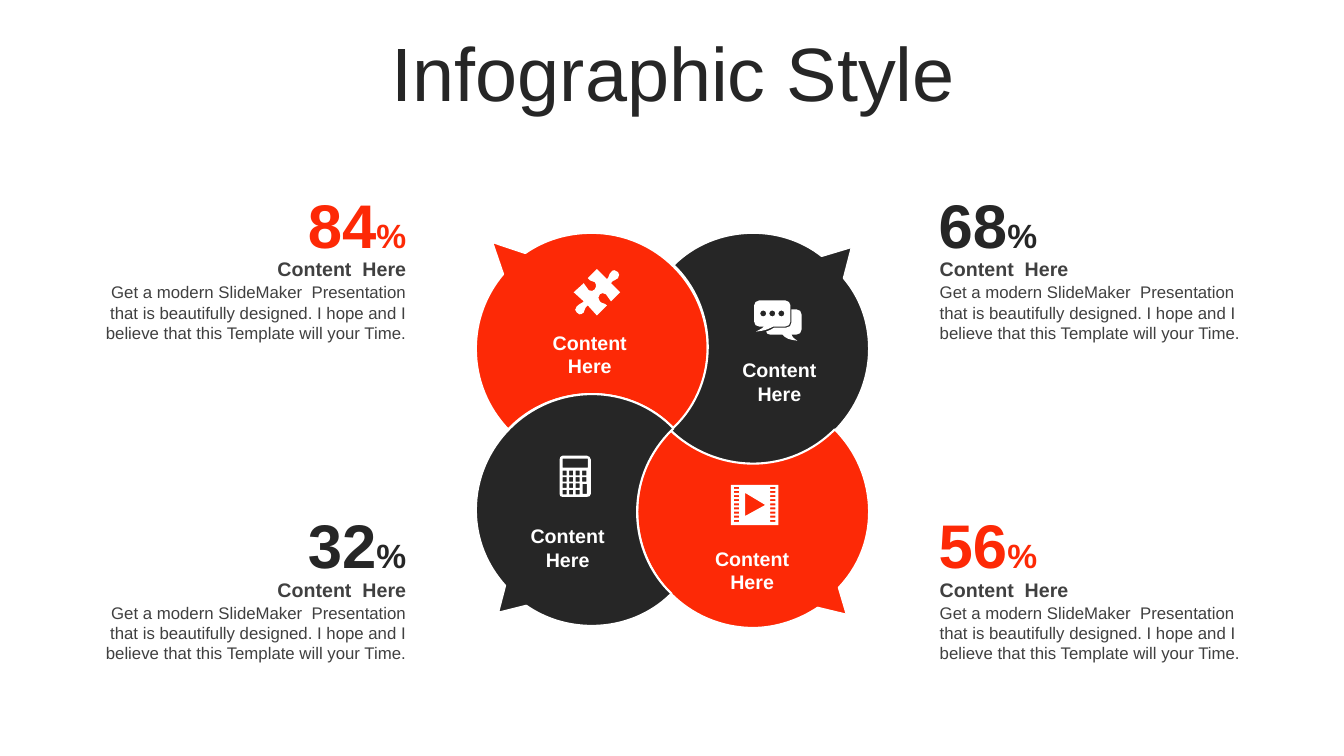
import math

from pptx import Presentation
from pptx.dml.color import RGBColor
from pptx.enum import text
from pptx.oxml.ns import qn
from pptx.util import Inches, Pt

COLORS = {"red": "FD2906", "dark": "262626", "grey": "404040", "white": "FFFFFF"}
FONT = "Arial"

# Outlines in inches: M starts a contour, L is a line, C a cubic curve.
PETALS = [
    ("red", "M 5.87 2.31 C 6.5 2.31 7.02 2.82 7.02 3.46 C 7.02 3.77 6.89 4.05 6.69 4.26 "
            "C 6.48 4.04 6.19 3.91 5.87 3.91 C 5.54 3.91 5.25 4.04 5.04 4.26 "
            "C 4.84 4.05 4.72 3.77 4.72 3.46 C 4.72 3.18 4.82 2.92 4.99 2.72 "
            "L 4.88 2.4 L 5.21 2.51 C 5.4 2.38 5.62 2.31 5.87 2.31"),
    ("dark", "M 7.47 2.31 C 7.72 2.31 7.96 2.39 8.15 2.54 L 8.45 2.45 L 8.37 2.76 "
             "C 8.53 2.95 8.62 3.19 8.62 3.46 C 8.62 4.09 8.1 4.61 7.47 4.61 "
             "C 7.15 4.61 6.86 4.48 6.65 4.27 C 6.88 4.07 7.02 3.77 7.02 3.44 "
             "C 7.02 3.12 6.89 2.83 6.68 2.63 C 6.88 2.43 7.16 2.31 7.47 2.31"),
    ("red", "M 8.28 4.26 C 8.49 4.47 8.62 4.76 8.62 5.08 C 8.62 5.37 8.51 5.63 8.32 5.83 "
            "L 8.4 6.1 L 8.11 6.03 C 7.93 6.15 7.7 6.23 7.47 6.23 "
            "C 6.83 6.23 6.32 5.71 6.32 5.08 C 6.32 4.76 6.44 4.47 6.65 4.27 "
            "C 6.86 4.47 7.15 4.6 7.47 4.6 C 7.79 4.6 8.07 4.47 8.28 4.26"),
    ("dark", "M 5.87 3.91 C 6.19 3.91 6.48 4.04 6.68 4.25 L 6.66 4.27 "
             "C 6.45 4.48 6.32 4.76 6.32 5.08 C 6.32 5.4 6.45 5.69 6.66 5.89 "
             "C 6.46 6.09 6.18 6.21 5.87 6.21 C 5.63 6.21 5.41 6.14 5.22 6.01 "
             "L 4.94 6.08 L 5.01 5.81 C 4.83 5.61 4.72 5.35 4.72 5.06 "
             "C 4.72 4.43 5.24 3.91 5.87 3.91"),
]
PUZZLE = (
    "M 6.13 2.7 C 6.14 2.71 6.15 2.74 6.13 2.76 C 6.11 2.79 6.08 2.77 6.06 2.81 "
    "L 6.15 2.9 L 6.06 2.99 C 6.03 2.97 6.04 2.94 6.01 2.92 C 5.99 2.9 5.96 2.91 5.95 2.92 "
    "C 5.93 2.94 5.93 2.97 5.95 2.99 C 5.98 3.02 5.99 3 6.02 3.03 L 5.92 3.13 L 5.83 3.03 "
    "C 5.79 3.06 5.81 3.07 5.79 3.1 C 5.76 3.13 5.73 3.12 5.72 3.1 C 5.7 3.09 5.7 3.06 5.72 3.04 "
    "C 5.74 3.01 5.76 3.02 5.79 2.99 L 5.69 2.9 L 5.79 2.81 C 5.82 2.83 5.81 2.86 5.84 2.88 "
    "C 5.86 2.89 5.89 2.89 5.9 2.87 C 5.91 2.86 5.92 2.83 5.9 2.8 C 5.87 2.78 5.86 2.8 5.83 2.76 "
    "L 5.92 2.67 L 6.02 2.77 C 6.05 2.74 6.03 2.73 6.06 2.7 C 6.08 2.67 6.11 2.68 6.13 2.7")
CHAT_BUBBLES = (
    "M 7.85 3.07 L 7.9 3.07 C 7.93 3.07 7.95 3.09 7.95 3.12 L 7.95 3.27 "
    "C 7.95 3.3 7.93 3.32 7.9 3.32 L 7.85 3.32 C 7.86 3.34 7.86 3.35 7.91 3.38 "
    "C 7.82 3.37 7.8 3.36 7.76 3.32 L 7.64 3.32 C 7.62 3.32 7.6 3.31 7.6 3.29 "
    "C 7.63 3.28 7.65 3.27 7.68 3.25 L 7.8 3.25 C 7.83 3.25 7.85 3.23 7.85 3.2 "
    "M 7.53 2.98 L 7.79 2.98 C 7.82 2.98 7.84 3.01 7.84 3.03 L 7.84 3.19 "
    "C 7.84 3.22 7.82 3.24 7.79 3.24 L 7.67 3.24 C 7.61 3.27 7.59 3.28 7.5 3.29 "
    "C 7.55 3.26 7.56 3.26 7.58 3.24 L 7.53 3.24 C 7.5 3.24 7.48 3.22 7.48 3.19 "
    "L 7.48 3.03 C 7.48 3.01 7.5 2.98 7.53 2.98")
CALCULATOR_BODY = (
    "M 5.58 4.52 L 5.82 4.52 C 5.84 4.52 5.86 4.54 5.86 4.56 L 5.86 4.9 "
    "C 5.86 4.92 5.84 4.93 5.82 4.93 L 5.58 4.93 C 5.56 4.93 5.55 4.92 5.55 4.9 "
    "L 5.55 4.56 C 5.55 4.54 5.56 4.52 5.58 4.52")

LABELS = [(5.05, 3.23, 1.6), (6.97, 3.5, 1.52), (6.7, 5.37, 1.52), (4.87, 5.15, 1.52)]
STATS = [("84", "red", "left", 2.5), ("68", "dark", "right", 2.5),
         ("32", "dark", "left", 5.68), ("56", "red", "right", 5.68)]
STAT_HEADING = "Content  Here"
STAT_BODY = ("Get a modern SlideMaker  Presentation that is beautifully designed. "
             "I hope and I believe that this Template will your Time.")


def contours(outline):
    """Split an outline into contours of segments: one point for a line, three for a curve."""
    tokens = iter(outline.split())
    result = []
    for command in tokens:
        if command == "M":
            result.append([])
        result[-1].append([(float(next(tokens)), float(next(tokens)))
                           for _ in range(3 if command == "C" else 1)])
    return result


def polygon(*points):
    return [[point] for point in points]


def rectangle(x, y, width, height):
    return polygon((x, y), (x + width, y), (x + width, y + height), (x, y + height))


def circle(x, y, r):
    k = 0.55 * r
    return [[(x, y - r)],
            [(x + k, y - r), (x + r, y - k), (x + r, y)],
            [(x + r, y + k), (x + k, y + r), (x, y + r)],
            [(x - k, y + r), (x - r, y + k), (x - r, y)],
            [(x - r, y - k), (x - k, y - r), (x, y - r)]]


def rotated(contour, center, degrees):
    cos, sin = math.cos(math.radians(degrees)), math.sin(math.radians(degrees))
    cx, cy = center
    return [[(cx + (x - cx) * cos - (y - cy) * sin, cy + (x - cx) * sin + (y - cy) * cos)
             for x, y in segment] for segment in contour]


def bend_curves(freeform, outlines):
    """Join the three lines drawn for each curve segment into one cubic curve."""
    lines = iter(list(freeform.element.iter(qn("a:lnTo"))))
    for outline in outlines:
        for segment in outline[1:]:
            first, *others = [next(lines) for _ in segment]
            if others:
                first.tag = qn("a:cubicBezTo")
            for line in others:
                first.append(line[0])
                line.getparent().remove(line)


def rgb(name):
    return RGBColor.from_string(COLORS[name])


def add_freeform(shapes, outlines, color, border=None):
    builder = None
    for outline in outlines:
        start, *rest = [(Inches(x), Inches(y)) for segment in outline for x, y in segment]
        if builder is None:
            builder = shapes.build_freeform(*start)
        else:
            builder.move_to(*start)
        builder.add_line_segments(rest, close=True)
    freeform = builder.convert_to_shape()
    bend_curves(freeform, outlines)
    freeform.shadow.inherit = False
    freeform.fill.solid()
    freeform.fill.fore_color.rgb = rgb(color)
    if border:
        freeform.line.color.rgb = rgb(border)
        freeform.line.width = Pt(1.5)
    else:
        freeform.line.fill.background()
    return freeform


def set_font(font, size, color, bold):
    font.name, font.size, font.bold = FONT, Pt(size), bold
    font.color.rgb = rgb(color)


def add_text(slide, box, lines, size, color, bold=True, align="CENTER",
             anchor="MIDDLE", insets=(0.1, 0.05, 0.1, 0.05)):
    frame = slide.shapes.add_textbox(*map(Inches, box)).text_frame
    frame.word_wrap = True
    frame.auto_size = text.MSO_AUTO_SIZE.SHAPE_TO_FIT_TEXT
    frame.vertical_anchor = text.MSO_ANCHOR[anchor]
    (frame.margin_left, frame.margin_top,
     frame.margin_right, frame.margin_bottom) = map(Inches, insets)
    frame.text = "\n".join(lines)
    for paragraph in frame.paragraphs:
        paragraph.alignment = text.PP_ALIGN[align]
        set_font(paragraph.font, size, color, bold)
    return frame


def add_stat(slide, number, color, side, top):
    on_left = side == "left"
    left, width = (1.03, 3) if on_left else (9.32, 3.09)
    align = "RIGHT" if on_left else "LEFT"
    insets = (0, 0.05, 0 if on_left else 0.1, 0.05)
    add_text(slide, (left, top, width, 0.34), [STAT_HEADING], 14, "grey",
             align=align, insets=insets)
    add_text(slide, (left, top + 0.25, width, 0.71), [STAT_BODY], 12, "grey",
             bold=False, align=align, anchor="TOP", insets=insets)
    figure = add_text(slide, (2.88 if on_left else 9.31, top - 0.65, 1.15, 0.74), [number],
                      44, color, align=align, insets=(0, 0, 0, 0))
    percent = figure.paragraphs[0].add_run()
    percent.text = "%"
    percent.font.size = Pt(24)


def add_title(slide, wording):
    title = slide.shapes.title
    title.left, title.top, title.width, title.height = map(Inches, (0.35, 0.37, 12.66, 0.79))
    title.text_frame.text = wording
    title.text_frame.vertical_anchor = text.MSO_ANCHOR.MIDDLE
    paragraph = title.text_frame.paragraphs[0]
    paragraph.alignment = text.PP_ALIGN.CENTER
    paragraph.line_spacing = 0.9
    set_font(paragraph.font, 54, "dark", False)


def add_icons(shapes):
    keys = [rectangle(5.58 + 0.065 * column, 4.67 + 0.063 * row, 0.04, 0.045)
            for row in range(4) for column in range(4) if column < 3 or row < 2]
    keys.append(rectangle(5.78, 4.8, 0.04, 0.1))
    screen = rectangle(5.58, 4.55, 0.25, 0.09)
    add_freeform(shapes, contours(CALCULATOR_BODY) + [screen] + keys, "white")

    puzzle = rotated(contours(PUZZLE)[0], (5.92, 2.9), -45)
    add_freeform(shapes, [puzzle], "white").rotation = 45

    dots = [circle(7.57 + 0.09 * i, 3.11, 0.03) for i in range(3)]
    add_freeform(shapes, contours(CHAT_BUBBLES) + dots, "white")

    perforations = [rectangle(x, 4.83 + 0.041 * row, 0.05, 0.02)
                    for x in (7.28, 7.64) for row in range(9)]
    play = polygon((7.39, 4.89), (7.39, 5.12), (7.59, 5.01))
    add_freeform(shapes, [rectangle(7.25, 4.81, 0.47, 0.4), play] + perforations, "white")


def main():
    deck = Presentation()
    deck.slide_width, deck.slide_height = Inches(13.33), Inches(7.5)
    slide = deck.slides.add_slide(deck.slide_layouts[5])
    add_title(slide, "Infographic Style")
    flower = slide.shapes.add_group_shape()
    for color, outline in PETALS:
        add_freeform(flower.shapes, contours(outline), color, border="white")
    for left, top, width in LABELS:
        add_text(slide, (left, top, width, 0.57), ["Content", "Here"], 14, "white")
    for stat in STATS:
        add_stat(slide, *stat)
    add_icons(slide.shapes)
    deck.save("out.pptx")


if __name__ == "__main__":
    main()
